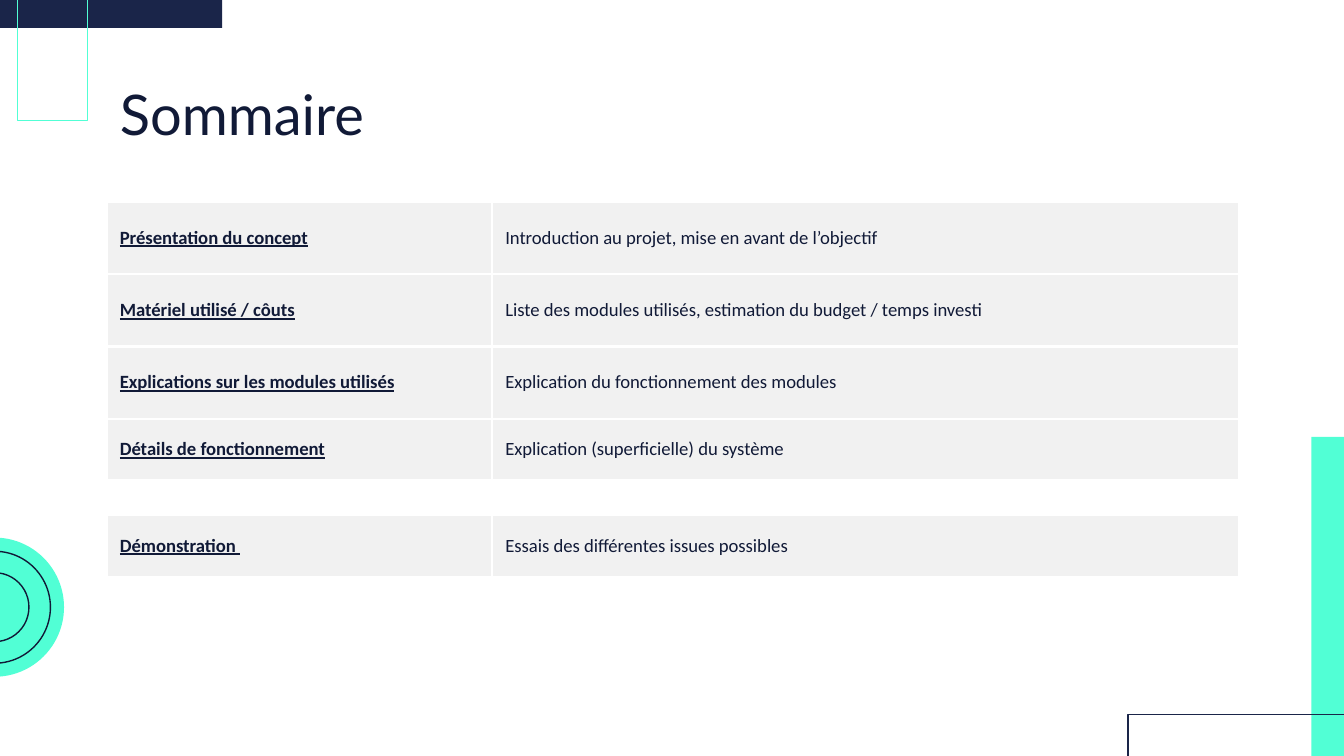
from typing import NamedTuple

from lxml import etree
from pptx import Presentation
from pptx.dml.color import RGBColor
from pptx.enum.shapes import MSO_SHAPE
from pptx.enum.text import MSO_ANCHOR, MSO_AUTO_SIZE, PP_ALIGN
from pptx.oxml.ns import qn
from pptx.util import Pt

RECT, OVAL = MSO_SHAPE.RECTANGLE, MSO_SHAPE.OVAL
TOP, MIDDLE = MSO_ANCHOR.TOP, MSO_ANCHOR.MIDDLE
LEFT, NO_FIT = PP_ALIGN.LEFT, MSO_AUTO_SIZE.NONE
MINT, NAVY, INK, GREY, WHITE = "51FFD5", "1A2549", "111A37", "F1F1F1", "FFFFFF"
EDGE, WIDTH = 57, 607
COLS = (206.5, 400.5)
PAD = 7.2


class Decor(NamedTuple):
    kind: MSO_SHAPE
    x: float
    y: float
    w: float
    h: float
    fill: str | None = None
    line: str | None = None


class Topic(NamedTuple):
    name: str
    about: str
    high: float


def ring(size: float, line: str | None = None) -> Decor:
    """Circle centred on the shared point at the left edge."""
    return Decor(OVAL, -3 - size / 2, 325.3 - size / 2, size, size, MINT, line)


DECOR = (
    Decor(RECT, 702.5, 234, 17.5, 171, MINT),
    Decor(RECT, 0, 0, 119, 15, NAVY),
    Decor(RECT, 9.5, -0.5, 37.5, 65, None, MINT),
    Decor(RECT, 604.3, 382.7, 119, 23, None, NAVY),
    ring(74.6),
    ring(60, INK),
    ring(37, INK),
)
TOPICS = (
    Topic("Présentation du concept",
          "Introduction au projet, mise en avant de l’objectif", 38.8),
    Topic("Matériel utilisé / côuts",
          "Liste des modules utilisés, estimation du budget / temps investi", 38.8),
    Topic("Explications sur les modules utilisés",
          "Explication du fonctionnement des modules", 38.8),
    Topic("Détails de fonctionnement",
          "Explication (superficielle) du système", 33),
)
DEMO = (Topic("Démonstration ", "Essais des différentes issues possibles", 33),)


def paint(fill, tint: str) -> None:
    fill.solid()
    fill.fore_color.rgb = RGBColor.from_string(tint)


def add_run(para, text: str, size: float, face: str, bold: bool = False) -> None:
    run = para.add_run()
    run.text = text
    font = run.font
    font.size, font.name = Pt(size), face
    font.bold = font.underline = bold
    paint(font.fill, INK)


def add_decor(slide, item: Decor) -> None:
    shape = slide.shapes.add_shape(
        item.kind, Pt(item.x), Pt(item.y), Pt(item.w), Pt(item.h))
    shape.shadow.inherit = False
    if item.fill:
        paint(shape.fill, item.fill)
    else:
        shape.fill.background()
    if item.line:
        paint(shape.line.fill, item.line)
        shape.line.width = Pt(0.75)
    else:
        shape.line.fill.background()


def add_title(slide, text: str) -> None:
    title = slide.shapes.title
    title.left, title.top = Pt(EDGE), Pt(35.3)
    title.width, title.height = Pt(WIDTH), Pt(45.4)
    frame = title.text_frame
    frame.margin_left = frame.margin_right = Pt(PAD)
    frame.margin_top = frame.margin_bottom = Pt(PAD)
    frame.vertical_anchor, frame.auto_size = TOP, NO_FIT
    para = frame.paragraphs[0]
    para.alignment = LEFT
    add_run(para, text, 30, "Lato")


def add_edges(cell) -> None:
    """White border on all four sides; must come before the cell fill."""
    props = cell._tc.get_or_add_tcPr()
    for side in ("lnL", "lnR", "lnT", "lnB"):
        line = etree.SubElement(props, qn(f"a:{side}"), w=str(Pt(1.5)))
        solid = etree.SubElement(line, qn("a:solidFill"))
        etree.SubElement(solid, qn("a:srgbClr"), val=WHITE)


def fill_cell(cell, text: str, head: bool) -> None:
    cell.margin_left = cell.margin_right = Pt(PAD)
    cell.margin_top = cell.margin_bottom = Pt(0)
    cell.vertical_anchor = MIDDLE
    add_edges(cell)
    paint(cell.fill, GREY)
    para = cell.text_frame.paragraphs[0]
    if not head:
        para.space_after = Pt(16)
    add_run(para, text, 10, "Calibri", head)


def add_topics(slide, top: float, topics: tuple[Topic, ...]) -> None:
    high = sum(topic.high for topic in topics)
    table = slide.shapes.add_table(
        len(topics), len(COLS), Pt(EDGE), Pt(top), Pt(WIDTH), Pt(high)).table
    table.first_row = table.horz_banding = False
    for col, wide in zip(table.columns, COLS):
        col.width = Pt(wide)
    for row, topic in zip(table.rows, topics):
        row.height = Pt(topic.high)
        fill_cell(row.cells[0], topic.name, True)
        fill_cell(row.cells[1], topic.about, False)


def main() -> None:
    deck = Presentation()
    deck.slide_width, deck.slide_height = Pt(720), Pt(405)
    slide = deck.slides.add_slide(deck.slide_layouts[5])
    paint(slide.background.fill, WHITE)
    for item in DECOR:
        add_decor(slide, item)
    add_title(slide, "Sommaire")
    add_topics(slide, 108, TOPICS)
    add_topics(slide, 276, DEMO)
    deck.save("out.pptx")


if __name__ == "__main__":
    main()
